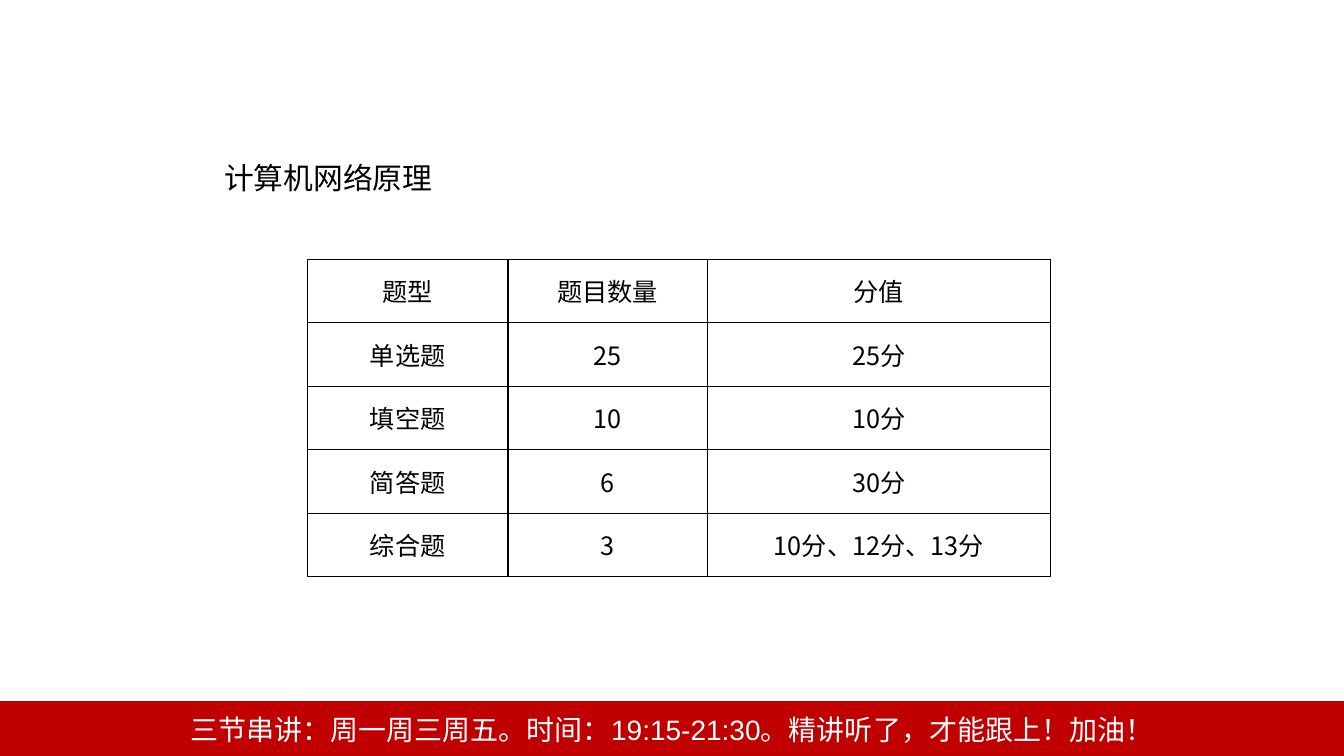
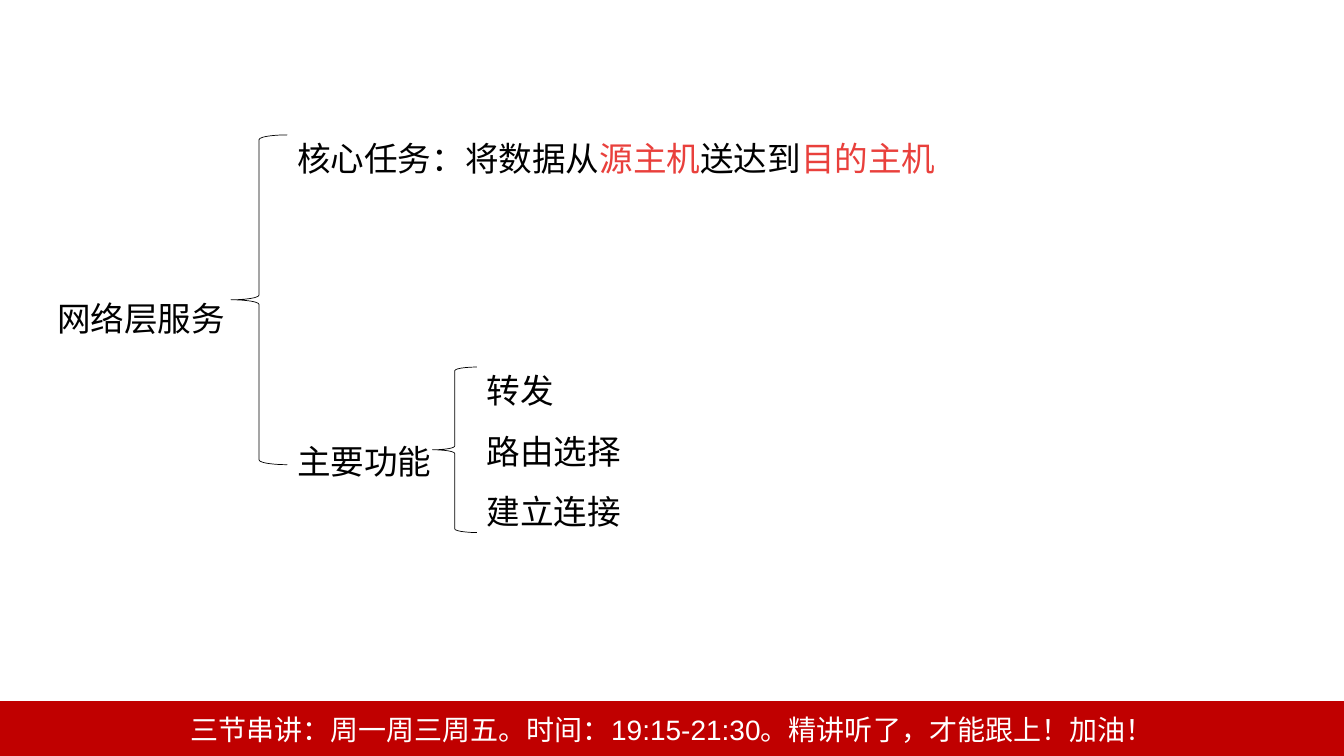
from dataclasses import dataclass
from lxml import etree
from pptx import Presentation
from pptx import util as u
from pptx.dml.color import RGBColor
from pptx.enum import shapes, text
from pptx.oxml.ns import qn

NOTE = "三节串讲：周一周三周五。时间：19:15-21:30。精讲听了，才能跟上！加油！"
TITLE = "计算机网络原理"
ROWS = [
    ("题型", "题目数量", "分值"),
    ("单选题", "25", "25分"),
    ("填空题", "10", "10分"),
    ("简答题", "6", "30分"),
    ("综合题", "3", "10分、12分、13分"),
]
WIDTHS = (5.05, 5.03, 8.64)
ROW_H = 1.6
ROOT = "网络层服务"
TASK = [("核心任务：将数据从", "ink"), ("源主机", "key"),
        ("送达到", "ink"), ("目的主机", "key")]
DUTY = "主要功能"
PARTS = ["转发", "路由选择", "建立连接"]
BRACES = [(5.82, 3.4, 1.42, 8.31), (10.9, 9.25, 1.12, 4.17)]


@dataclass(frozen=True)
class Theme:
    ink: str = "000000"
    key: str = "E9403C"
    band: str = "C00000"
    page: str = "FFFFFF"
    sans: str = "Noto Sans CJK SC"
    latin: str = "Arial"
    title: float = 21.3
    body: float = 24
    cell: float = 18
    note: float = 20


T = Theme()
WIDE, HIGH, BAND_H = 33.87, 19.05, 1.37


def rgb(name):
    return RGBColor.from_string(getattr(T, name))


def write(frame, lines, size="body", color="ink", face="sans", align=None, space=None):
    frame.word_wrap = True
    for i, line in enumerate(lines):
        para = frame.paragraphs[0] if i == 0 else frame.add_paragraph()
        para.alignment = align
        para.line_spacing = space
        for words, tint in [(line, color)] if isinstance(line, str) else line:
            run = para.add_run()
            run.text = words
            run.font.size = u.Pt(getattr(T, size))
            run.font.name = getattr(T, face)
            run.font.color.rgb = rgb(tint)
            east = etree.SubElement(run.font._element, qn("a:ea"))
            east.set("typeface", T.sans)


def label(slide, box, lines, **style):
    shape = slide.shapes.add_textbox(*map(u.Cm, box))
    write(shape.text_frame, lines, **style)


def draw(slide, kind, box, line, width, fill=None):
    shape = slide.shapes.add_shape(kind, *map(u.Cm, box))
    shape.shadow.inherit = False
    if fill:
        shape.fill.solid()
        shape.fill.fore_color.rgb = rgb(fill)
    else:
        shape.fill.background()
    shape.line.color.rgb = rgb(line)
    shape.line.width = u.Pt(width)
    return shape


def border(cell):
    props = cell._tc.get_or_add_tcPr()
    for i, side in enumerate(("lnL", "lnR", "lnT", "lnB")):
        edge = etree.Element(qn("a:" + side), w=str(u.Pt(1)))
        fill = etree.SubElement(edge, qn("a:solidFill"))
        etree.SubElement(fill, qn("a:srgbClr"), val=T.ink)
        props.insert(i, edge)


def page(deck):
    slide = deck.slides.add_slide(deck.slide_layouts[6])
    slide.background.fill.solid()
    slide.background.fill.fore_color.rgb = rgb("page")
    return slide


def footer(slide):
    box = (0, HIGH - BAND_H, WIDE, BAND_H)
    band = draw(slide, shapes.MSO_SHAPE.RECTANGLE, box, "band", 1, "band")
    band.text_frame.vertical_anchor = text.MSO_ANCHOR.MIDDLE
    write(band.text_frame, [NOTE], size="note", color="page", face="latin",
          align=text.PP_ALIGN.CENTER)


def scores(deck):
    slide = page(deck)
    label(slide, (5.4, 3.89, 14, 1.17), [TITLE], size="title", face="latin")
    box = (7.75, 6.53, sum(WIDTHS), ROW_H * len(ROWS))
    grid = slide.shapes.add_table(len(ROWS), len(WIDTHS), *map(u.Cm, box)).table
    grid.first_row = grid.horz_banding = False
    for col, width in zip(grid.columns, WIDTHS):
        col.width = u.Cm(width)
    for r, row in enumerate(ROWS):
        grid.rows[r].height = u.Cm(ROW_H)
        for c, words in enumerate(row):
            cell = grid.cell(r, c)
            cell.fill.background()
            cell.vertical_anchor = text.MSO_ANCHOR.MIDDLE
            write(cell.text_frame, [words], size="cell", align=text.PP_ALIGN.CENTER)
            border(cell)
    footer(slide)


def tree(deck):
    slide = page(deck)
    label(slide, (1.19, 7.39, 5.64, 1.27), [ROOT])
    label(slide, (7.24, 2.84, 24, 1.8), [TASK], space=1.5)
    label(slide, (7.24, 10.48, 4.2, 1.8), [DUTY], space=1.5)
    label(slide, (12.01, 8.69, 11.5, 4.88), PARTS, space=1.5)
    for box in BRACES:
        draw(slide, shapes.MSO_SHAPE.LEFT_BRACE, box, "ink", 0.5)
    footer(slide)


def main():
    deck = Presentation()
    deck.slide_width, deck.slide_height = u.Cm(WIDE), u.Cm(HIGH)
    scores(deck)
    tree(deck)
    deck.save("out.pptx")


if __name__ == "__main__":
    main()
